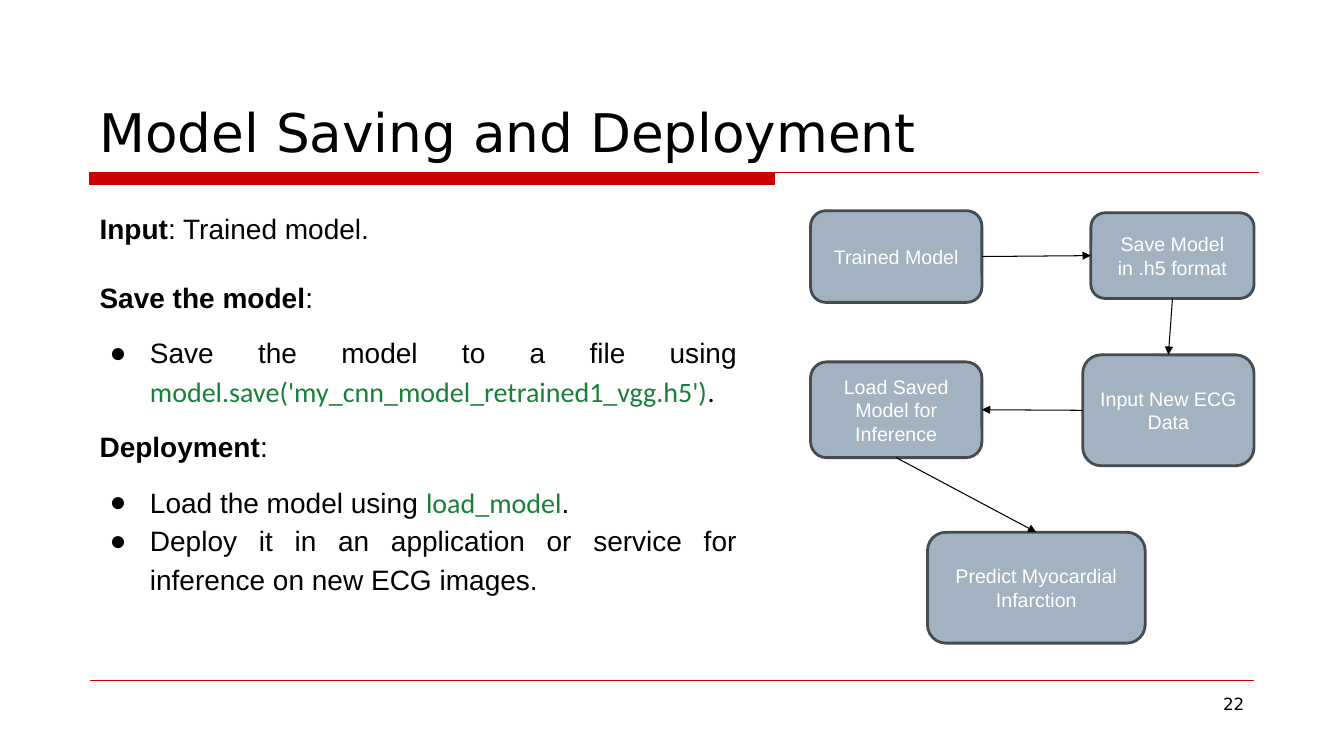
from dataclasses import dataclass

import pptx
import pptx.dml.color
import pptx.enum.shapes
import pptx.enum.text
import pptx.oxml
import pptx.oxml.ns
import pptx.util

Pt = pptx.util.Pt
ALIGN = pptx.enum.text.PP_ALIGN
ANCHOR = pptx.enum.text.MSO_ANCHOR
SHAPE = pptx.enum.shapes.MSO_SHAPE
qn = pptx.oxml.ns.qn
TOP, LEFT, BOTTOM, RIGHT = range(4)  # connection sites of a box


@dataclass(frozen=True)
class Theme:
    accent: str = "CC0000"
    ink: str = "000000"
    code: str = "188038"
    node_fill: str = "A3B2C1"
    node_line: str = "444B51"
    node_text: str = "FFFFFF"
    head_font: str = "DejaVu Sans"
    body_font: str = "Arial"
    code_font: str = "Calibri"
    title_size: float = 38
    body_size: float = 20
    node_size: float = 14
    number_size: float = 12
    rule_width: float = 0.75
    node_width: float = 2


THEME = Theme()

# Paragraphs: (bulleted, space before, line spacing, [(style, text), ...])
BODY = [
    (False, 0, 1, [("bold", "Input"), ("plain", ": Trained model.")]),
    (False, 25, 1, [("bold", "Save the model"), ("plain", ":")]),
    (True, 12, 1.15, [("plain", "Save the model to a file using "),
                      ("code", "model.save('my_cnn_model_retrained1_vgg.h5')"),
                      ("code end", ".")]),
    (False, 12, 1.15, [("bold", "Deployment"), ("plain", ":")]),
    (True, 12, 1.15, [("plain", "Load the model using "),
                      ("code", "load_model"), ("plain", ".")]),
    (True, 0, 1.15, [("plain", "Deploy it in an application or service for "
                               "inference on new ECG images.")]),
]

# Nodes: text and (x, y, width, height) inside the diagram
NODES = {
    "trained": ("Trained Model", (0, 0, 122.4, 65.5)),
    "save": ("Save Model\vin .h5 format", (200.2, 1.5, 116.6, 61.2)),
    "input": ("Input New ECG Data", (194.4, 103, 122.4, 79.2)),
    "load": ("Load Saved Model for Inference", (0, 108, 122.4, 68.4)),
    "predict": ("Predict Myocardial Infarction", (83.5, 229.7, 155.5, 79.2)),
}
ARROWS = [
    ("trained", RIGHT, "save", LEFT),
    ("save", BOTTOM, "input", TOP),
    ("input", LEFT, "load", RIGHT),
    ("load", BOTTOM, "predict", TOP),
]


def rgb(color):
    return pptx.dml.color.RGBColor.from_string(color)


def style_run(r, font, size, color, bold=False):
    r.font.name = font
    r.font.size = Pt(size)
    r.font.bold = bold
    r.font.color.rgb = rgb(color)


def add_line(slide, x1, y1, x2, y2, color):
    line = slide.shapes.add_connector(
        pptx.enum.shapes.MSO_CONNECTOR.STRAIGHT, Pt(x1), Pt(y1), Pt(x2), Pt(y2))
    line.line.color.rgb = rgb(color)
    line.line.width = Pt(THEME.rule_width)
    pptx.oxml.ns  # namespace helpers come from pptx
    line._element.spPr.append(pptx.oxml.parse_xml(
        '<a:effectLst xmlns:a="%s"/>' % pptx.oxml.ns.nsuri("a")))
    return line


def add_text_box(slide, box, anchor=ANCHOR.TOP):
    tf = slide.shapes.add_textbox(*map(Pt, box)).text_frame
    tf.word_wrap = True
    tf.vertical_anchor = anchor
    return tf


def add_label(slide, box, text, size, align, anchor=ANCHOR.TOP):
    """Add one line of text in the heading font."""
    p = add_text_box(slide, box, anchor).paragraphs[0]
    p.text = text
    p.alignment = align
    style_run(p.runs[0], THEME.head_font, size, THEME.ink)


def add_header(slide, box):
    """Place the title above a thin rule that starts with a thick bar."""
    x, y, w, h = box
    add_label(slide, box, "Model Saving and Deployment", THEME.title_size,
              ALIGN.LEFT, ANCHOR.BOTTOM)
    rule_y = y + h + 2.8
    bar = slide.shapes.add_shape(SHAPE.RECTANGLE, Pt(x), Pt(rule_y), Pt(489), Pt(8.6))
    bar.shadow.inherit = False
    bar.fill.solid()
    bar.fill.fore_color.rgb = rgb(THEME.accent)
    bar.line.color.rgb = rgb(THEME.accent)
    bar.line.width = Pt(THEME.rule_width)
    add_line(slide, x, rule_y, x + 835.2, rule_y, THEME.accent)


def add_footer(slide, box):
    x, y, w, h = box
    add_line(slide, x, y, x + w, y, THEME.accent)
    add_label(slide, (x + w - 208, y + 5.8, 208, h - 5.8), "22",
              THEME.number_size, ALIGN.RIGHT)


def add_bullet(p):
    pPr = p._p.get_or_add_pPr()
    pPr.set("marL", str(Pt(36)))
    pPr.set("indent", str(-Pt(28.8)))
    color = pPr.makeelement(qn("a:buClr"), {})
    color.append(color.makeelement(qn("a:srgbClr"), {"val": THEME.ink}))
    pPr.append(color)
    pPr.append(pPr.makeelement(qn("a:buFont"), {"typeface": THEME.body_font}))
    pPr.append(pPr.makeelement(qn("a:buChar"), {"char": "●"}))


def add_body(slide, box):
    styles = {
        "plain": (THEME.body_font, THEME.body_size, THEME.ink),
        "bold": (THEME.body_font, THEME.body_size, THEME.ink, True),
        "code": (THEME.code_font, THEME.body_size, THEME.code),
        "code end": (THEME.code_font, THEME.body_size, THEME.ink),
    }
    tf = add_text_box(slide, box)
    for i, (bulleted, before, spacing, parts) in enumerate(BODY):
        p = tf.add_paragraph() if i else tf.paragraphs[0]
        p.alignment = ALIGN.JUSTIFY
        p.space_before = Pt(before)
        p.line_spacing = spacing
        if bulleted:
            add_bullet(p)
        for style, text in parts:
            r = p.add_run()
            r.text = text
            style_run(r, *styles[style])


def add_node(slide, box, text):
    sp = slide.shapes.add_shape(SHAPE.ROUNDED_RECTANGLE, *map(Pt, box))
    sp.shadow.inherit = False
    sp.fill.solid()
    sp.fill.fore_color.rgb = rgb(THEME.node_fill)
    sp.line.color.rgb = rgb(THEME.node_line)
    sp.line.width = Pt(THEME.node_width)
    tf = sp.text_frame
    tf.word_wrap = True
    tf.vertical_anchor = ANCHOR.MIDDLE
    p = tf.paragraphs[0]
    p.text = text
    p.alignment = ALIGN.CENTER
    for r in p.runs:
        style_run(r, THEME.body_font, THEME.node_size, THEME.node_text)
    return sp


def add_diagram(slide, x, y):
    nodes = {name: add_node(slide, (x + dx, y + dy, w, h), text)
             for name, (text, (dx, dy, w, h)) in NODES.items()}
    for start, start_site, end, end_site in ARROWS:
        arrow = add_line(slide, x, y, x, y, THEME.ink)
        arrow.begin_connect(nodes[start], start_site)
        arrow.end_connect(nodes[end], end_site)
        ln = arrow.line._get_or_add_ln()
        ln.append(ln.makeelement(qn("a:tailEnd"), {"type": "triangle"}))


def main():
    prs = pptx.Presentation()
    prs.slide_width, prs.slide_height = Pt(960), Pt(540)
    slide = prs.slides.add_slide(prs.slide_layouts[6])
    add_header(slide, (64, 24.5, 863, 95.8))
    add_footer(slide, (64, 486, 832, 43))
    add_body(slide, (64, 147.6, 469.5, 311.8))
    add_diagram(slide, 579, 150.5)
    prs.save("out.pptx")


if __name__ == "__main__":
    main()
